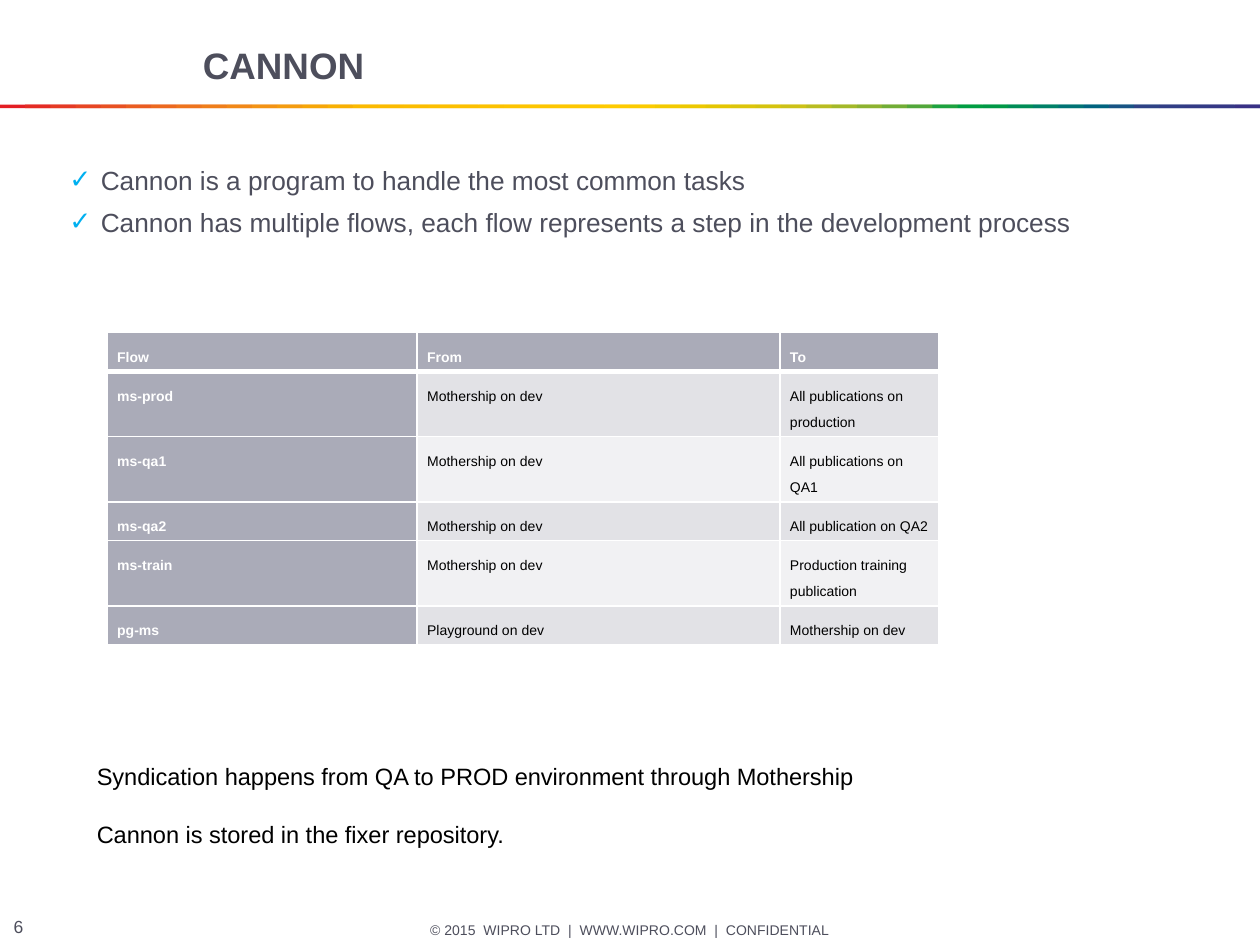
import lxml.etree
import pptx
import pptx.dml.color
import pptx.enum.shapes
import pptx.enum.text
import pptx.oxml.ns
import pptx.util

PX = 9144
INK, WHITE, BLACK, HEADING = "4D4E5C", "FFFFFF", "000000", "AAABB8"
BANDS = ("E2E2E6", "F1F1F3")
RAINBOW = """
E31E24 E42C24 E53A24 E74623 E85122 EA5D21 EC691F EE741D EF7E1A F18817
F39314 F49C0F F6A607 F8B002 FBBA00 FBBB00 FBBD00 FCBF00 FCC000 FCC200
FDC400 FDC600 FDC700 FEC900 FECB00 FBCB00 F3CA00 ECC800 E4C602 DCC50A
D5C30E CCC117 B8BC21 A3B829 8CB230 71AD36 51A73B 1DA240 009D43 009846
008C57 008068 007275 00637F 185384 2E4285 313E85 333B85 353885 393185
""".split()
FLOWS = [
    ("Flow", "From", "To"),
    ("ms-prod", "Mothership on dev", "All publications on production"),
    ("ms-qa1", "Mothership on dev", "All publications on QA1"),
    ("ms-qa2", "Mothership on dev", "All publication on QA2"),
    ("ms-train", "Mothership on dev", "Production training publication"),
    ("pg-ms", "Playground on dev", "Mothership on dev"),
]
ALIGN = pptx.enum.text.PP_ALIGN
MIDDLE = pptx.enum.text.MSO_ANCHOR.MIDDLE


def color(value):
    return pptx.dml.color.RGBColor.from_string(value)


def assign(target, values):
    for key, value in values.items():
        setattr(target, key, value)


def child(parent, tag, **attributes):
    return lxml.etree.SubElement(parent, pptx.oxml.ns.qn(tag), attributes)


class FlowSlide:
    """Holds the style and the current slide, and draws each kind of element."""

    font = "Arial"

    def __init__(self, deck):
        self.slide = deck.slides.add_slide(deck.slide_layouts[1])

    def place(self, shape, box):
        assign(shape, dict(zip(("left", "top", "width", "height"), (n * PX for n in box))))

    def paragraphs(self, frame, lines, size, ink=INK, bold=False, gap=0, bullet=None, **layout):
        for index, line in enumerate(lines):
            paragraph = frame.paragraphs[0] if index == 0 else frame.add_paragraph()
            if bullet:
                self.bullet(paragraph, bullet)
            spacing = pptx.util.Pt(gap if index else 0)
            assign(paragraph, {"space_before": spacing, **layout})
            run = paragraph.add_run()
            run.text = line
            assign(run.font, {"name": self.font, "size": pptx.util.Pt(size), "bold": bold})
            run.font.color.rgb = color(ink)

    def bullet(self, paragraph, ink, indent=25):
        properties = paragraph._p.get_or_add_pPr()
        properties.set("marL", str(indent * PX))
        properties.set("indent", str(-indent * PX))
        child(child(properties, "a:buClr"), "a:srgbClr", val=ink)
        child(properties, "a:buFont", typeface=self.font)
        child(properties, "a:buChar", char="✓")

    def title(self, heading, box):
        shape = self.slide.shapes.title
        self.place(shape, box)
        assign(shape.text_frame, {"vertical_anchor": MIDDLE, "word_wrap": True})
        self.paragraphs(shape.text_frame, [heading], 21, bold=True, alignment=ALIGN.LEFT)

    def bullets(self, points, box):
        body = self.slide.placeholders[1]
        self.place(body, box)
        sides = ("margin_left", "margin_top", "margin_right", "margin_bottom")
        assign(body.text_frame, dict.fromkeys(sides, 5 * PX))
        body.text_frame.auto_size = pptx.enum.text.MSO_AUTO_SIZE.NONE
        self.paragraphs(body.text_frame, points, 15, gap=6, bullet="00B0F0")

    def text(self, lines, box, size, anchor=pptx.enum.text.MSO_ANCHOR.TOP, **style):
        frame = self.slide.shapes.add_textbox(*(n * PX for n in box)).text_frame
        assign(frame, {"word_wrap": True, "vertical_anchor": anchor})
        self.paragraphs(frame, lines, size, **style)

    def stripe(self, inks, top, height, step):
        for index, ink in enumerate(inks):
            width = step if index == len(inks) - 1 else 2 * step
            band = self.slide.shapes.add_shape(
                pptx.enum.shapes.MSO_SHAPE.RECTANGLE,
                *(n * PX for n in (index * step, top, width, height)))
            band.shadow.inherit = False
            band.fill.solid()
            band.fill.fore_color.rgb = color(ink)
            band.line.fill.background()

    def borders(self, cell, bottom):
        properties = cell._tc.get_or_add_tcPr()
        for side, points in (("L", 1), ("R", 1), ("T", 1), ("B", bottom)):
            line = child(properties, f"a:ln{side}", w=str(pptx.util.Pt(points)))
            child(child(line, "a:solidFill"), "a:srgbClr", val=WHITE)

    def table(self, rows, left, top, widths, heights):
        box = (left, top, sum(widths), sum(heights))
        grid = self.slide.shapes.add_table(
            len(rows), len(widths), *(n * PX for n in box)).table
        for column, width in zip(grid.columns, widths):
            column.width = width * PX
        for r, (row, height) in enumerate(zip(rows, heights)):
            grid.rows[r].height = height * PX
            for c, label in enumerate(row):
                cell = grid.cell(r, c)
                heading = r == 0 or c == 0
                assign(cell, {"margin_left": 8 * PX, "margin_right": (8 if r else 12) * PX,
                              "margin_top": 5 * PX, "margin_bottom": 5 * PX})
                self.borders(cell, 1 if r else 3)
                cell.fill.solid()
                cell.fill.fore_color.rgb = color(HEADING if heading else BANDS[(r - 1) % 2])
                self.paragraphs(cell.text_frame, [label], 8, WHITE if heading else BLACK,
                                heading, line_spacing=pptx.util.Pt(15))


def main():
    deck = pptx.Presentation()
    assign(deck, {"slide_width": 1000 * PX, "slide_height": 750 * PX})
    page = FlowSlide(deck)
    page.text(["© 2015  WIPRO LTD  |  WWW.WIPRO.COM  |  CONFIDENTIAL"], (320, 730, 360, 16), 8,
              MIDDLE, alignment=ALIGN.CENTER)
    page.text(["6"], (1, 727, 39, 16), 10, MIDDLE)
    page.stripe(RAINBOW, 83, 3, 20)
    page.title("CANNON", (151, 29, 675, 45))
    page.bullets(["Cannon is a program to handle the most common tasks",
                  "Cannon has multiple flows, each flow represents a step in the development process"],
                 (50, 125, 900, 563))
    page.table(FLOWS, 85, 264, (246, 288, 126), (27, 42, 42, 27, 42, 27))
    page.text(["Syndication happens from QA to PROD environment through Mothership",
               "Cannon is stored in the fixer repository."],
              (67, 600, 727, 78), 13.5, ink=BLACK, gap=17)
    deck.save("out.pptx")


if __name__ == "__main__":
    main()
